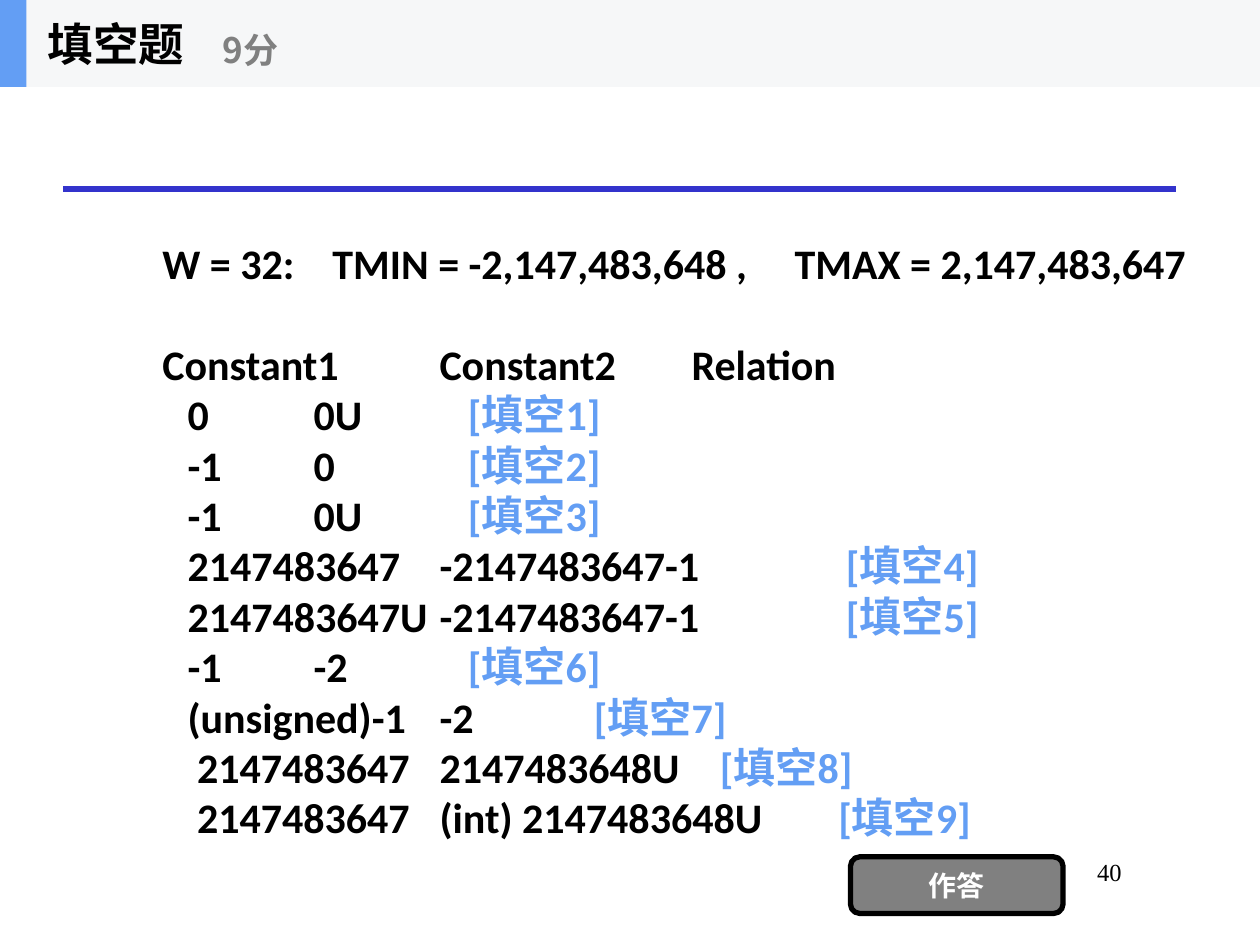
import dataclasses

import pptx
import pptx.dml.color
import pptx.enum.shapes
import pptx.enum.text
import pptx.oxml
import pptx.oxml.ns
import pptx.util

Pt = pptx.util.Pt
Inches = pptx.util.Inches
Shape = pptx.enum.shapes.MSO_SHAPE
Align = pptx.enum.text.PP_ALIGN
Anchor = pptx.enum.text.MSO_ANCHOR


@dataclasses.dataclass(frozen=True)
class Theme:
    """Colours, fonts and type sizes of the slide."""
    ink: str = "000000"
    grey: str = "808080"
    white: str = "FFFFFF"
    pale: str = "F6F7F8"
    blue: str = "639EF4"
    rule: str = "3333CC"
    latin: str = "Calibri"
    cjk: str = "Noto Sans CJK SC"
    serif: str = "Times New Roman"
    title: float = 26
    score: float = 20
    body: float = 24
    lead: float = 28.8
    button: float = 16
    page: float = 14
    space: float = 5.42
    stroke: float = 3


T = Theme()
CELL = 0.1
WIDE, HIGH = 100, 75

QUIZ = [
    ("\t0\t0U\t", 3),
    ("\t-1\t0\t", 3),
    ("\t-1\t0U\t", 3),
    ("\t2147483647\t-2147483647-1 \t", 3),
    ("\t2147483647U\t-2147483647-1 \t", 3),
    ("\t-1\t-2 \t", 3),
    ("\t(unsigned)-1\t-2 \t", 3),
    ("\t 2147483647 \t2147483648U \t", 3),
    ("\t 2147483647 \t(int) 2147483648U", 8),
]


def rgb(code):
    """Turn a hex code into a colour."""
    return pptx.dml.color.RGBColor.from_string(code)


def grid(box):
    """Turn a box in grid cells into lengths."""
    return [Inches(n * CELL) for n in box]


def inner(box, x, y, w, h):
    """Give the box at the stated shares of another box."""
    left, top, wide, high = box
    return left + x * wide, top + y * high, w * wide, h * high


def style(run, size, color, font, bold=True):
    """Set the look of a run."""
    run.font.size = Pt(size)
    run.font.bold = bold
    run.font.name = font
    run.font.color.rgb = rgb(color)
    east = pptx.oxml.parse_xml(
        f'<a:ea {pptx.oxml.ns.nsdecls("a")} typeface="{T.cjk}"/>')
    run.font._element.find(pptx.oxml.ns.qn("a:latin")).addnext(east)


def write(shape, text, size, color, font=T.cjk, bold=True,
          align=Align.LEFT, anchor=Anchor.MIDDLE):
    """Put one styled line into a shape."""
    frame = shape.text_frame
    frame.word_wrap = True
    frame.vertical_anchor = anchor
    frame.text = text
    line = frame.paragraphs[0]
    line.alignment = align
    style(line.runs[0], size, color, font, bold)


def panel(slide, box, fill, kind=Shape.RECTANGLE, edge=None):
    """Add a filled shape."""
    shape = slide.shapes.add_shape(kind, *grid(box))
    shape.shadow.inherit = False
    shape.fill.solid()
    shape.fill.fore_color.rgb = rgb(fill)
    if edge:
        shape.line.color.rgb = rgb(edge)
        shape.line.width = Pt(T.stroke)
    else:
        shape.line.fill.background()
    return shape


def header(slide, box):
    """Draw the band with the question type and score."""
    panel(slide, box, T.pale)
    panel(slide, inner(box, 0, 0, 0.021, 1), T.blue)
    name = slide.shapes.add_textbox(*grid(inner(box, 0.028, 0, 0.208, 1)))
    write(name, "填空题", T.title, T.ink)
    score = slide.shapes.add_textbox(*grid(inner(box, 0.167, 0.17, 0.25, 0.81)))
    write(score, "9分", T.score, T.grey)


def rule(slide, box):
    """Draw the line across the top of the box."""
    left, top, wide, _ = grid(box)
    line = slide.shapes.add_connector(
        pptx.enum.shapes.MSO_CONNECTOR.STRAIGHT, left, top, left + wide, top)
    line.line.color.rgb = rgb(T.rule)
    line.line.width = Pt(T.stroke)
    line._element.spPr.append(pptx.oxml.parse_xml(
        f'<a:effectLst {pptx.oxml.ns.nsdecls("a")}/>'))


def add(line, text, color=T.ink, gap=1):
    """Add a run, with a space as wide as gap spaces after it if gap > 1."""
    run = line.add_run()
    run.text = text
    style(run, T.body, color, T.latin)
    if gap > 1:
        pad = line.add_run()
        pad.text = " "
        style(pad, T.body, color, T.latin)
        pad.font._element.set("spc", str(round((gap - 1) * T.space * 100)))


def quiz(slide, box):
    """Write the limits, the column heads and the rows to fill in."""
    frame = slide.shapes.add_textbox(*grid(box)).text_frame
    frame.word_wrap = True
    frame.vertical_anchor = Anchor.MIDDLE
    frame.margin_top = Inches(0.44)
    first = frame.paragraphs[0]
    add(first, "W = 32:", gap=4)
    add(first, "TMIN = -2,147,483,648 ,", gap=5)
    add(first, "TMAX = 2,147,483,647")
    head = frame.add_paragraph()
    head.space_before = Pt(T.lead)
    add(head, "Constant1\tConstant2\tRelation\t")
    for n, (text, gap) in enumerate(QUIZ, 1):
        line = frame.add_paragraph()
        add(line, text, gap=gap)
        add(line, f"[填空{n}]", T.blue)
    for line in frame.paragraphs:
        line.line_spacing = Pt(T.lead)
        prop = line._p.get_or_add_pPr()
        prop.set("marL", str(Inches(0.75)))
        prop.set("indent", str(Inches(-0.2)))
        prop.set("defTabSz", str(Inches(1)))


def footer(slide, box):
    """Place the answer button and the page number."""
    key = panel(slide, inner(box, 0, 0.1, 0.75, 0.9), T.grey,
                Shape.ROUNDED_RECTANGLE, T.ink)
    write(key, "作答", T.button, T.white, align=Align.CENTER)
    page = slide.shapes.add_textbox(*grid(inner(box, 0.37, 0, 0.63, 1)))
    write(page, "40", T.page, T.ink, T.serif, False, Align.RIGHT, Anchor.TOP)


def main():
    """Build and save the slide."""
    deck = pptx.Presentation()
    deck.slide_width, deck.slide_height = grid((WIDE, HIGH))
    slide = deck.slides.add_slide(deck.slide_layouts[6])
    rule(slide, (5, 15, 88.3, 0))
    quiz(slide, (6.4, 29.2, 93.6, 23.4))
    footer(slide, (67.5, 67.5, 22.5, 5))
    header(slide, (0, 0, WIDE, 6.9))
    deck.save("out.pptx")


if __name__ == "__main__":
    main()
